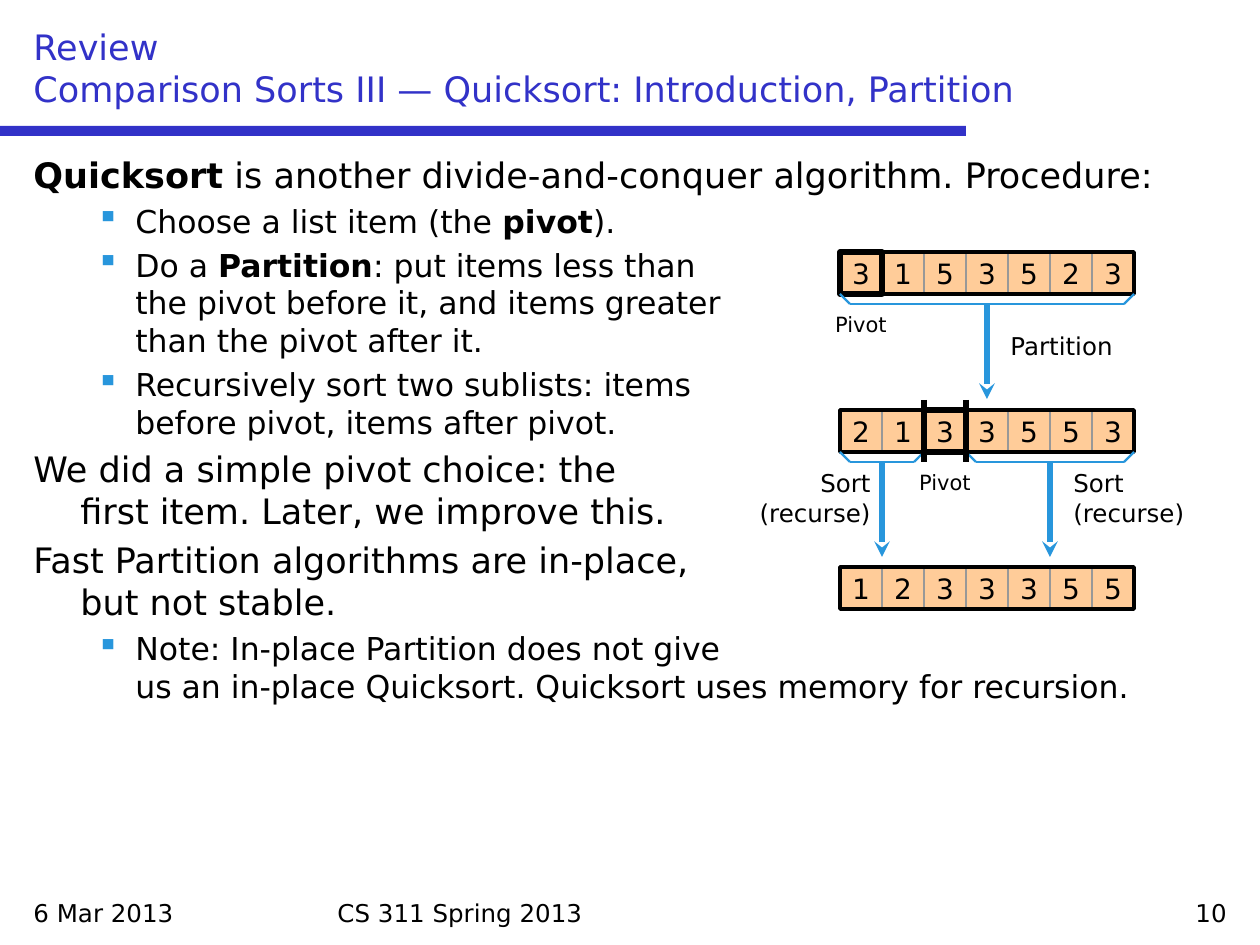
import pptx
import pptx.util
import pptx.dml.color
import pptx.enum.shapes
import pptx.enum.text
import pptx.oxml.ns
import lxml.etree

PX = 914400 / 126
FONT = "DejaVu Sans"
COLORS = dict(title="3232C8", accent="2896DC", text="000000",
              cell="FFCC99", grid="989898")
ALIGN = dict(l=pptx.enum.text.PP_ALIGN.LEFT, c=pptx.enum.text.PP_ALIGN.CENTER,
             r=pptx.enum.text.PP_ALIGN.RIGHT)
ANCHOR = dict(t=pptx.enum.text.MSO_ANCHOR.TOP, m=pptx.enum.text.MSO_ANCHOR.MIDDLE,
              b=pptx.enum.text.MSO_ANCHOR.BOTTOM)
CELL = 42


def px(*lengths):
    """Turn pixel lengths into a list of EMU lengths."""
    return [pptx.util.Emu(round(v * PX)) for v in lengths]


def rgb(name):
    """Look up a named colour."""
    return pptx.dml.color.RGBColor.from_string(COLORS[name])


def add_sub(parent, tag, **attrs):
    """Append a DrawingML child element."""
    return lxml.etree.SubElement(parent, pptx.oxml.ns.qn(tag), attrs)


def write(p, text, size=14, color="text", align="l"):
    """Fill a paragraph; ** toggles bold and a newline breaks the line."""
    p.alignment = ALIGN[align]
    for i, part in enumerate(text.split("**")):
        for j, line in enumerate(part.split("\n")):
            if j:
                p.add_line_break()
            if line:
                r = p.add_run()
                r.text = line
                r.font.size = pptx.util.Pt(size)
                r.font.name = FONT
                r.font.bold = i % 2 == 1
                r.font.color.rgb = rgb(color)


def text_box(s, box, text="", anchor="t", **fmt):
    """Add a wrapping text box and return its frame."""
    tf = s.shapes.add_textbox(*px(*box)).text_frame
    tf.word_wrap = True
    tf.vertical_anchor = ANCHOR[anchor]
    if text:
        write(tf.paragraphs[0], text, **fmt)
    return tf


def rect(s, box, fill=None, line=None, width=1.25):
    """Add a plain rectangle."""
    sp = s.shapes.add_shape(pptx.enum.shapes.MSO_SHAPE.RECTANGLE, *px(*box))
    sp.shadow.inherit = False
    if fill:
        sp.fill.solid()
        sp.fill.fore_color.rgb = rgb(fill)
    else:
        sp.fill.background()
    if line:
        sp.line.color.rgb = rgb(line)
        sp.line.width = pptx.util.Pt(width)
    else:
        sp.line.fill.background()
    return sp


def line(s, x1, y1, x2, y2, color="accent", width=1.25, arrow=False):
    """Add a straight line, with an arrowhead at its end if asked."""
    c = s.shapes.add_connector(pptx.enum.shapes.MSO_CONNECTOR.STRAIGHT,
                               *px(x1, y1, x2, y2))
    c.line.color.rgb = rgb(color)
    c.line.width = pptx.util.Pt(width)
    if arrow:
        add_sub(c.line._get_or_add_ln(), "a:tailEnd", type="stealth")
    add_sub(c._element.spPr, "a:effectLst")


def header(s, box, text):
    """Add the title and the bar beneath it."""
    x, y, w, h = box
    rect(s, (0, y + 105, 966, 10), fill="title")
    text_box(s, box, text, anchor="b", size=20, color="title")


def footer(s, y):
    """Add date, course and slide number."""
    for x, w, text, align in ((21, 294, "6 Mar 2013", "l"),
                              (325, 609, "CS 311 Spring 2013", "l"),
                              (945, 294, "10", "r")):
        text_box(s, (x, y, w, 42), text, align=align)


def body(s, box, items):
    """Add paragraphs given as (level, text)."""
    tf = text_box(s, box)
    for i, (level, text) in enumerate(items):
        p = tf.add_paragraph() if i else tf.paragraphs[0]
        size, margin, hang = ((20, 47, 47), (18, 102, 39))[level]
        p.level = level
        p.space_before = pptx.util.Pt(size * 0.2)
        write(p, text, size=size)
        pPr = p._p.get_or_add_pPr()
        left, indent = px(margin, -hang)
        pPr.set("marL", str(left))
        pPr.set("indent", str(indent))
        if level:
            add_sub(add_sub(pPr, "a:buClr"), "a:srgbClr", val=COLORS["accent"])
            add_sub(pPr, "a:buChar", char="▪")
        else:
            add_sub(pPr, "a:buNone")


def cell(s, x, y, digit, **outline):
    """Add one list item."""
    tf = rect(s, (x, y, CELL, CELL), fill="cell", **outline).text_frame
    tf.word_wrap = False
    tf.vertical_anchor = ANCHOR["m"]
    write(tf.paragraphs[0], digit, size=16, align="c")


def array(s, x, y, digits, pivot=None):
    """Add a row of list items, the pivot in a heavy frame."""
    for i, digit in enumerate(digits):
        if i != pivot:
            cell(s, x + i * CELL, y, digit, line="grid")
    rect(s, (x, y, CELL * len(digits), CELL), line="text", width=2)
    if pivot is not None:
        px_left = x + pivot * CELL
        cell(s, px_left, y, digits[pivot], line="text", width=3)
        text_box(s, (px_left - 21, y + 53, 84, 38), "Pivot", size=12, align="c")


def bracket(s, x, y, w):
    """Add a bracket under a stretch of items and an arrow from its middle."""
    low, right = y + 10, x + w
    line(s, x, y, x + 10, low)
    line(s, x + 10, low, right - 10, low)
    line(s, right, y, right - 10, low)
    line(s, x + w / 2, low, x + w / 2, low + 95, width=3, arrow=True)


def diagram(s, x, y):
    """Add the three stages of Quicksort."""
    middle, last = y + 158, y + 315
    array(s, x, y, "3153523", pivot=0)
    bracket(s, x, y + CELL, 7 * CELL)
    array(s, x, middle, "2133553", pivot=2)
    bracket(s, x, middle + CELL, 2 * CELL)
    bracket(s, x + 3 * CELL, middle + CELL, 4 * CELL)
    for i in (2, 3):
        line(s, x + i * CELL, middle - 10, x + i * CELL, middle + 52,
             color="text", width=3)
    array(s, x, last, "1233355")
    text_box(s, (x + 158, y + 73, 158, 43), "Partition")
    text_box(s, (x - 115, y + 210, 158, 73), "Sort (recurse)", align="r")
    text_box(s, (x + 221, y + 210, 158, 73), "Sort (recurse)")


prs = pptx.Presentation()
prs.slide_width, prs.slide_height = px(1260, 945)
s = prs.slides.add_slide(prs.slide_layouts[6])
header(s, (21, 21, 1218, 95),
       "Review\nComparison Sorts III — Quicksort: Introduction, Partition")
body(s, (21, 147, 1218, 735), [
    (0, "**Quicksort** is another divide-and-conquer algorithm. Procedure:"),
    (1, "Choose a list item (the **pivot**)."),
    (1, "Do a **Partition**: put items less than\nthe pivot before it, "
        "and items greater\nthan the pivot after it."),
    (1, "Recursively sort two sublists: items\nbefore pivot, items after pivot."),
    (0, "We did a simple pivot choice: the\nfirst item. Later, we improve this."),
    (0, "Fast Partition algorithms are in-place,\nbut not stable."),
    (1, "Note: In-place Partition does not give\nus an in-place Quicksort. "
        "Quicksort uses memory for recursion."),
])
diagram(s, 840, 252)
footer(s, 892)
prs.save("out.pptx")
